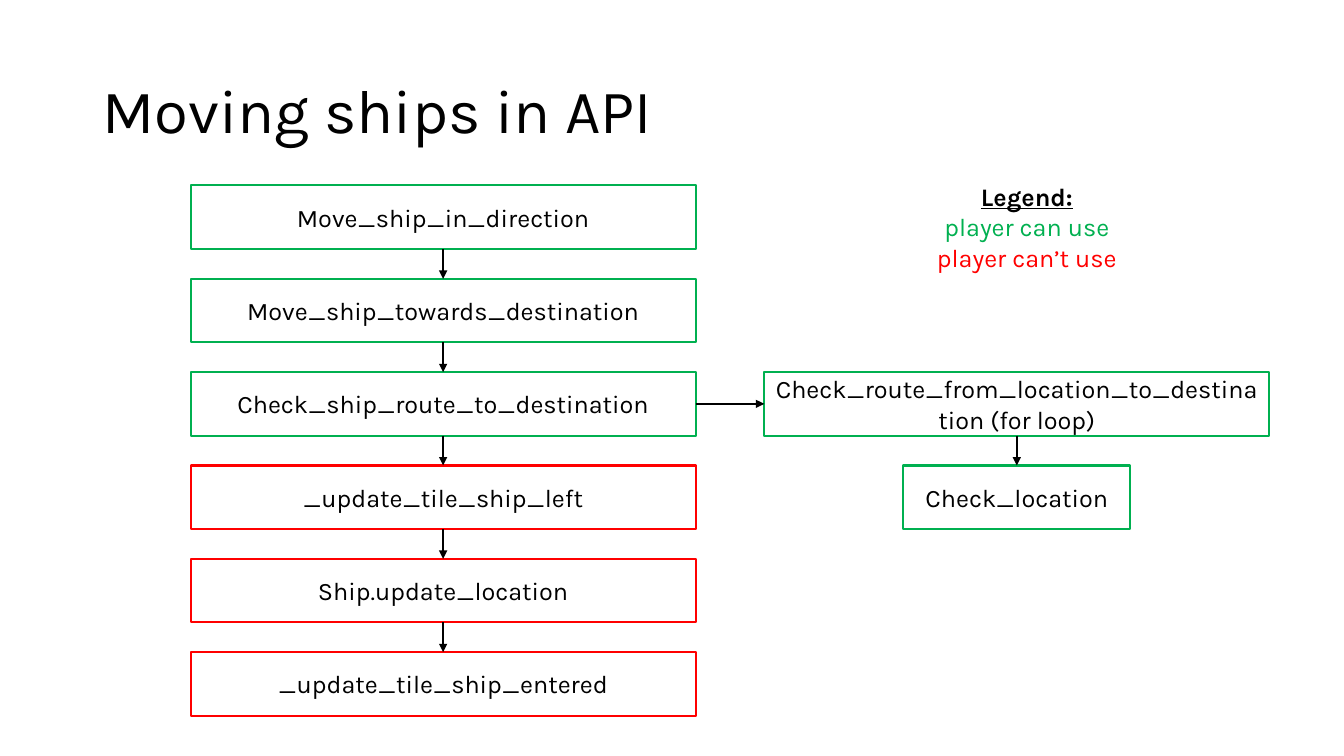
"""Build the slide that shows the call flow for moving ships in the API."""
from pptx import Presentation
from pptx.dml.color import RGBColor
from pptx.enum.shapes import MSO_CONNECTOR as CONN, MSO_SHAPE as SHAPE
from pptx.enum.text import MSO_ANCHOR as ANCHOR, PP_ALIGN as ALIGN
from pptx.oxml.ns import qn
from pptx.util import Inches, Pt
from lxml.etree import SubElement

BLACK = RGBColor(0x00, 0x00, 0x00)
GREEN = RGBColor(0x00, 0xB0, 0x50)
RED = RGBColor(0xFF, 0x00, 0x00)

TOP, LAST_TOP = 1.84, 6.47
LEFT, WIDTH, HEIGHT = 1.89, 5.01, 0.63
PITCH = (LAST_TOP - TOP) / 5
SIDE_LEFT = 7.58

prs = Presentation()
prs.slide_width, prs.slide_height = Inches(13.33), Inches(7.5)
slide = prs.slides.add_slide(prs.slide_layouts[6])
shapes = slide.shapes


def add_run(p, text, size=18, color=BLACK):
    r = p.add_run()
    r.text = text
    r.font.name = "Karla"
    r.font.size = Pt(size)
    r.font.color.rgb = color
    return r


title = shapes.add_textbox(Inches(0.92), Inches(0.4), Inches(11.5), Inches(1.45))
tf = title.text_frame
tf.word_wrap = True
tf.vertical_anchor = ANCHOR.MIDDLE
tf.paragraphs[0].line_spacing = 0.9
add_run(tf.paragraphs[0], "Moving ships in API", 44)

steps = [
    ("Move_ship_in_direction", LEFT, 0, WIDTH, GREEN),
    ("Move_ship_towards_destination", LEFT, 1, WIDTH, GREEN),
    ("Check_ship_route_to_destination", LEFT, 2, WIDTH, GREEN),
    ("_update_tile_ship_left", LEFT, 3, WIDTH, RED),
    ("Ship.update_location", LEFT, 4, WIDTH, RED),
    ("_update_tile_ship_entered", LEFT, 5, WIDTH, RED),
    ("Check_route_from_location_to_destination (for loop)", SIDE_LEFT, 2, WIDTH, GREEN),
    ("Check_location", 8.96, 3, 2.25, GREEN),
]
boxes = []
for text, left, row, width, color in steps:
    sp = shapes.add_shape(SHAPE.RECTANGLE, Inches(left), Inches(TOP + row * PITCH),
                          Inches(width), Inches(HEIGHT))
    sp.shadow.inherit = False
    sp.fill.background()
    sp.line.color.rgb = color
    sp.line.width = Pt(1.5)
    tf = sp.text_frame
    tf.word_wrap = True
    tf.vertical_anchor = ANCHOR.MIDDLE
    p = tf.paragraphs[0]
    p.alignment = ALIGN.CENTER
    add_run(p, text)
    boxes.append(sp)

links = [(i, 2, i + 1, 0) for i in range(5)] + [(2, 3, 6, 1), (6, 2, 7, 0)]
for start, start_side, end, end_side in links:
    arrow = shapes.add_connector(CONN.STRAIGHT, 0, 0, 0, 0)
    arrow.begin_connect(boxes[start], start_side)
    arrow.end_connect(boxes[end], end_side)
    if end_side == 0:
        arrow.end_x = arrow.begin_x
    arrow.line.color.rgb = BLACK
    arrow.line.width = Pt(1.5)
    SubElement(arrow.line._get_or_add_ln(), qn("a:tailEnd"), type="triangle")
    SubElement(arrow._element.spPr, qn("a:effectLst"))

legend = shapes.add_textbox(Inches(9.05), Inches(1.75), Inches(2.27), Inches(1.01))
tf = legend.text_frame
tf.word_wrap = True
p = tf.paragraphs[0]
p.alignment = ALIGN.CENTER
r = add_run(p, "Legend:")
r.font.bold = True
r.font.underline = True
for text, color in [("player can use", GREEN), ("player can’t use", RED)]:
    p = tf.add_paragraph()
    p.alignment = ALIGN.CENTER
    add_run(p, text, color=color)

prs.save("out.pptx")
